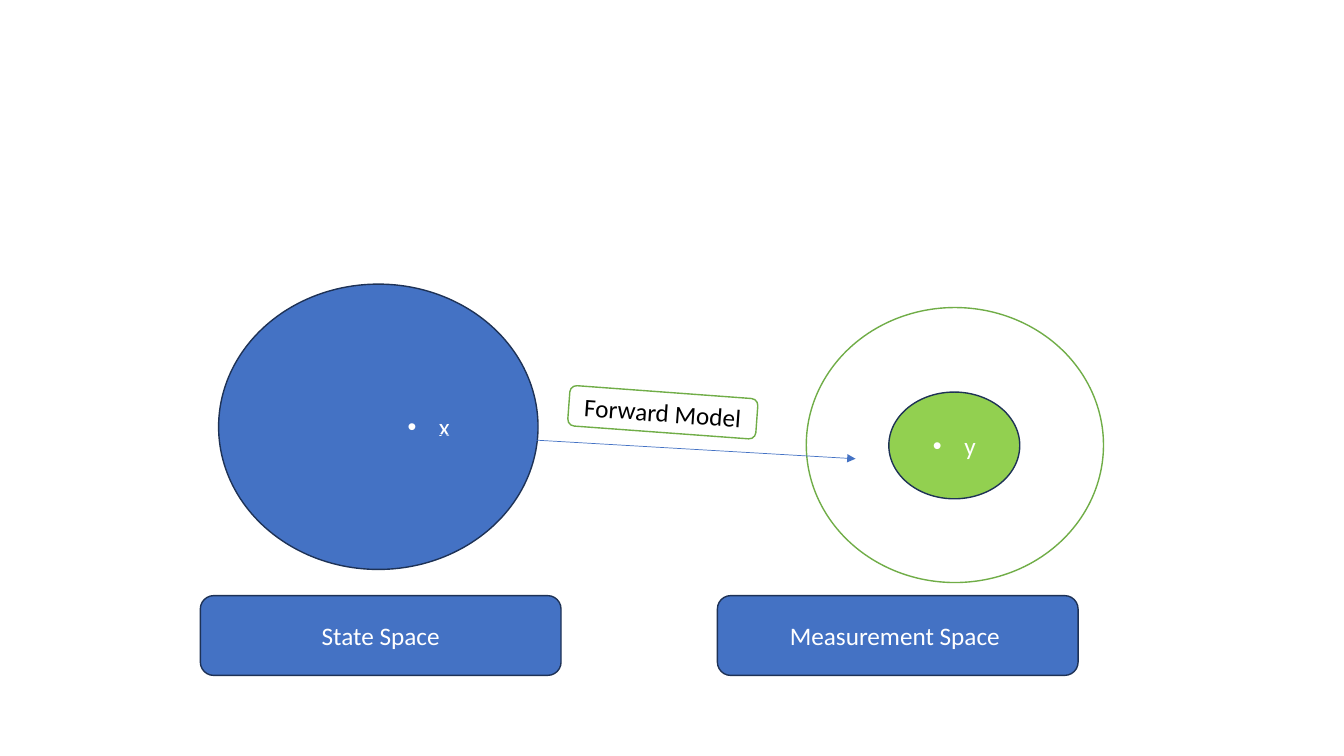
from pptx import Presentation
from pptx.dml.color import RGBColor
from pptx.enum.shapes import MSO_CONNECTOR, MSO_SHAPE
from pptx.enum.text import MSO_ANCHOR, PP_ALIGN
from pptx.oxml.ns import qn
from pptx.util import Cm, Pt
from lxml.etree import SubElement

BLUE, NAVY, GREEN, LIME = "4472C4", "1E3256", "70AD47", "92D050"
WHITE, BLACK = "FFFFFF", "000000"
BULLET_HANG = Cm(0.79)


def color(hex_code):
    """Turn a hex string into a colour."""
    return RGBColor.from_string(hex_code)


def add_bullet(paragraph, indent):
    """Give a paragraph a hanging round bullet."""
    properties = paragraph._p.get_or_add_pPr()
    properties.set("marL", str(indent))
    properties.set("indent", str(-BULLET_HANG))
    SubElement(properties, qn("a:buFont"), typeface="Arial")
    SubElement(properties, qn("a:buChar"), char="•")


def write(shape, text, ink=WHITE, size=18, font="Calibri", bullet_indent=None):
    """Write centred text into a shape."""
    frame = shape.text_frame
    frame.word_wrap = True
    frame.vertical_anchor = MSO_ANCHOR.MIDDLE
    paragraph = frame.paragraphs[0]
    paragraph.alignment = PP_ALIGN.CENTER
    if bullet_indent is not None:
        add_bullet(paragraph, bullet_indent)
    run = paragraph.add_run()
    run.text = text
    run.font.name = font
    run.font.size = Pt(size)
    run.font.color.rgb = color(ink)


def add_outlined(slide, kind, box, fill, outline):
    """Add a filled shape with a thin outline; box is in centimetres."""
    shape = slide.shapes.add_shape(kind, *map(Cm, box))
    shape.shadow.inherit = False
    shape.fill.solid()
    shape.fill.fore_color.rgb = color(fill)
    shape.line.color.rgb = color(outline)
    shape.line.width = Pt(1)
    return shape


def add_arrow(slide, start, end):
    """Add a thin blue arrow between two points in centimetres."""
    arrow = slide.shapes.add_connector(MSO_CONNECTOR.STRAIGHT, *map(Cm, start + end))
    arrow.line.color.rgb = color(BLUE)
    arrow.line.width = Pt(0.5)
    SubElement(arrow.line._get_or_add_ln(), qn("a:tailEnd"), type="triangle")
    SubElement(arrow._element.spPr, qn("a:effectLst"))


def main():
    """Build the forward model slide."""
    deck = Presentation()
    deck.slide_width, deck.slide_height = Cm(33.87), Cm(19.05)
    slide = deck.slides.add_slide(deck.slide_layouts[6])

    state_space = add_outlined(slide, MSO_SHAPE.OVAL, (5.51, 7.16, 8.05, 7.19), BLUE, NAVY)
    write(state_space, "x", bullet_indent=Cm(3.33))
    add_outlined(slide, MSO_SHAPE.OVAL, (20.32, 7.75, 7.49, 6.93), WHITE, GREEN)
    measurement = add_outlined(slide, MSO_SHAPE.OVAL, (22.4, 9.88, 3.3, 2.69), LIME, NAVY)
    write(measurement, "y", bullet_indent=BULLET_HANG)

    for left, caption in ((5.05, "State Space"), (18.08, "Measurement Space ")):
        box = (left, 15.01, 9.09, 2.01)
        label = add_outlined(slide, MSO_SHAPE.ROUNDED_RECTANGLE, box, BLUE, NAVY)
        write(label, caption)

    add_arrow(slide, (9.7, 10.87), (21.56, 11.56))
    forward_model = add_outlined(
        slide, MSO_SHAPE.ROUNDED_RECTANGLE, (14.33, 9.88, 4.75, 1.02), WHITE, GREEN)
    forward_model.rotation = 4.2
    write(forward_model, "Forward Model", ink=BLACK)

    deck.save("out.pptx")


if __name__ == "__main__":
    main()
